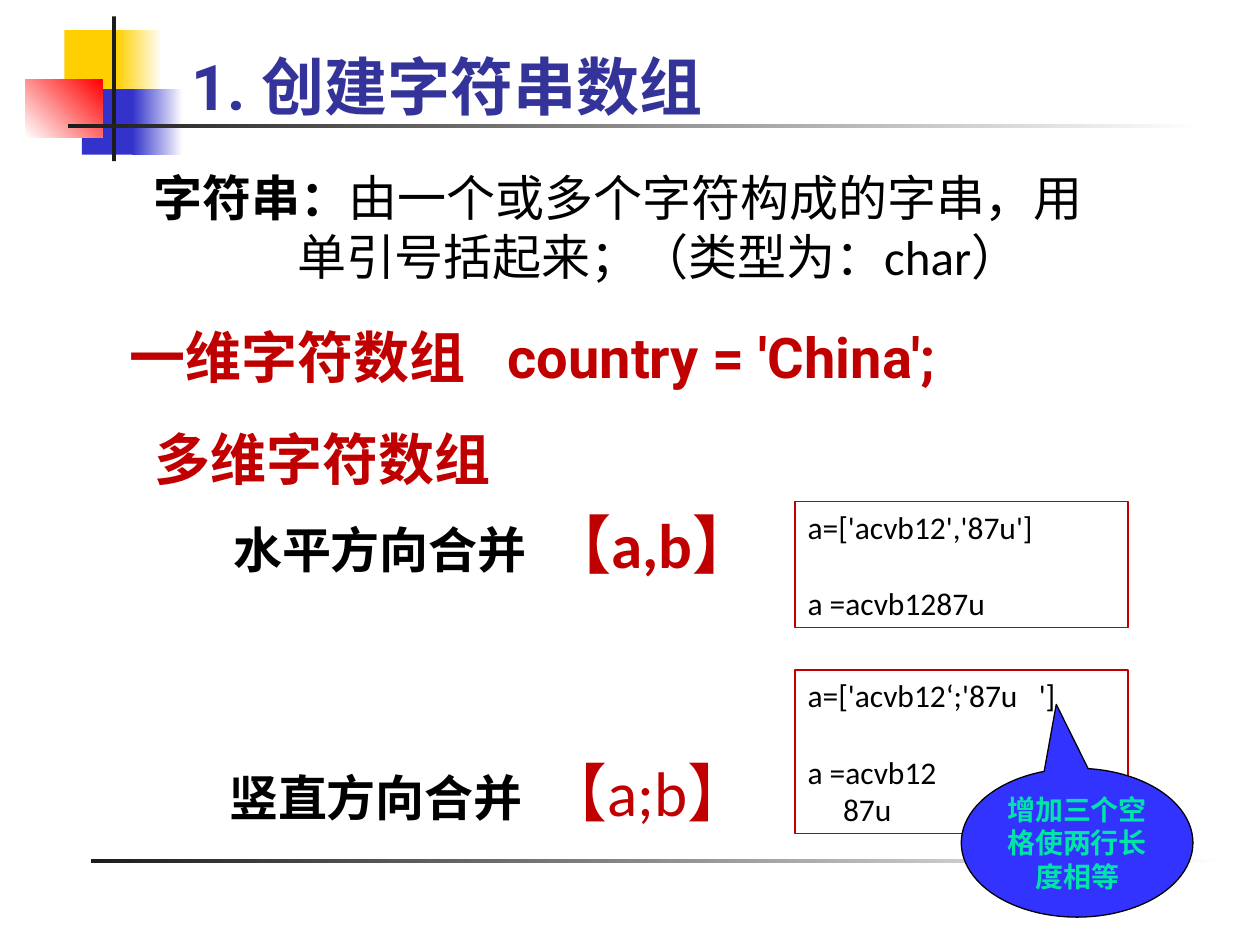
"""Build the slide on creating character arrays."""
from lxml import etree
from pptx import Presentation
from pptx import util as u
from pptx.dml.color import RGBColor
from pptx.enum import shapes, text
from pptx.oxml import ns

RED, BLACK, BLUE = "C00000", "000000", "333399"
color = RGBColor.from_string


def write_paragraph(paragraph, runs, indent=0, tab=None):
    """Write runs of (text, font, size, colour, bold) into a paragraph."""
    properties = paragraph._p.get_or_add_pPr()
    properties.set("marL", str(u.Cm(indent)))
    properties.set("indent", "0")
    if tab:
        tab_list = etree.SubElement(properties, ns.qn("a:tabLst"))
        etree.SubElement(tab_list, ns.qn("a:tab"), pos=str(u.Cm(tab)), algn="l")
    for wording, font, size, hue, bold in runs:
        run = paragraph.add_run()
        run.text = wording
        run.font.name = font
        run.font.size = u.Pt(size)
        run.font.color.rgb = color(hue)
        run.font.bold = bold


def add_box(slide, box, wrap=True):
    """Add a text box and return it."""
    shape = slide.shapes.add_textbox(*map(u.Cm, box))
    shape.text_frame.word_wrap = wrap
    return shape


presentation = Presentation()
presentation.slide_width, presentation.slide_height = u.Cm(25.4), u.Cm(19.05)
slide = presentation.slides.add_slide(presentation.slide_layouts[5])

decorations = [
    ((1.3, 0.61, 1.22, 1.32), ["FFCF01"], 0),
    ((2.36, 0.61, 0.91, 1.32), ["FFCF01", "FFFFFF"], 0),
    ((1.65, 1.8, 1.17, 1.32), ["3333CC"], 0),
    ((2.67, 1.8, 1.02, 1.32), ["3333CC", "FFFFFF"], 0),
    ((0.51, 1.6, 1.55, 1.17), ["FFFFFF", "FF0000"], 45),
    ((2.26, 0.33, 0.08, 2.92), ["1C1C1C"], 0),
    ((1.37, 2.51, 22.86, 0.08), ["1C1C1C", "FFFFFF"], 0),
    ((1.83, 17.32, 22.86, 0.08), ["1C1C1C", "FFFFFF"], 0),
]
for box, hues, angle in decorations:
    shape = slide.shapes.add_shape(shapes.MSO_SHAPE.RECTANGLE, *map(u.Cm, box))
    shape.shadow.inherit = False
    shape.line.fill.background()
    if len(hues) == 1:
        shape.fill.solid()
        shape.fill.fore_color.rgb = color(hues[0])
    else:
        shape.fill.gradient()
        shape.fill.gradient_angle = angle
        for stop, hue in zip(shape.fill.gradient_stops, hues):
            stop.color.rgb = color(hue)

title = slide.shapes.title
title.left, title.top, title.width, title.height = map(u.Cm, (3.3, 0.71, 21.59, 1.9))
title.text_frame.vertical_anchor = text.MSO_ANCHOR.BOTTOM
title.text_frame.paragraphs[0].alignment = text.PP_ALIGN.LEFT
write_paragraph(title.text_frame.paragraphs[0], [
    ("1. ", "Roboto", 36, BLUE, True),
    ("创建", "Arial", 36, BLUE, True),
    ("字符串数组", "Roboto", 36, BLUE, True),
], indent=0.3)

one_dimension = add_box(slide, (2.36, 6.38, 20.83, 2.06))
write_paragraph(one_dimension.text_frame.paragraphs[0],
                [("一维字符数组\tcountry = 'China';", "Roboto", 32, RED, True)], tab=9.12)

definition = add_box(slide, (2.84, 3.25, 19.89, 2.64))
write_paragraph(definition.text_frame.paragraphs[0], [
    ("字符串：", "Arial", 28, BLACK, True),
    ("由一个或多个字符构成的字串，用", "Calibri", 28, BLACK, False),
])
write_paragraph(definition.text_frame.add_paragraph(),
                [("单引号括起来；（类型为：char）", "Calibri", 28, BLACK, False)], indent=2.9)

many_dimensions = add_box(slide, (2.87, 8.43, 7.29, 1.63), wrap=False)
write_paragraph(many_dimensions.text_frame.paragraphs[0],
                [("多维字符数组", "Calibri", 32, RED, True)])

merges = [
    ((4.45, 10.06, 11.43, 1.78), "水平方向合并", "【a,b】", True, 6.15),
    ((4.37, 15.06, 11.63, 1.78), "竖直方向合并", "【a;b】", False, 6.38),
]
for box, direction, syntax, bold, tab in merges:
    label = add_box(slide, box, wrap=False)
    write_paragraph(label.text_frame.paragraphs[0], [
        (direction + "\t", "Calibri", 28, BLACK, True),
        (syntax, "Calibri", 36, RED, bold),
    ], tab=tab)

examples = [
    ((16.03, 10.11, 6.71, 2.54), "a=['acvb12','87u']", ["a =acvb1287u"]),
    ((16.03, 13.51, 6.71, 3.3), "a=['acvb12‘;'87u   ']", ["a =acvb12", "     87u"]),
]
for box, command, output in examples:
    example = add_box(slide, box)
    example.line.color.rgb = color(RED)
    example.line.width = u.Pt(0.75)
    frame = example.text_frame
    write_paragraph(frame.paragraphs[0], [(command, "Calibri", 18, BLACK, False)])
    for line in output:
        write_paragraph(frame.add_paragraph(), [(line, "Calibri", 18, BLACK, False)])
    frame.paragraphs[1].space_before = u.Pt(22)

callout = slide.shapes.add_shape(shapes.MSO_SHAPE.OVAL_CALLOUT,
                                 *map(u.Cm, (19.38, 15.49, 4.67, 3)))
callout.shadow.inherit = False
callout.adjustments[0], callout.adjustments[1] = -0.09, -0.93
callout.fill.solid()
callout.fill.fore_color.rgb = color("3333FF")
callout.line.color.rgb = color(BLACK)
callout.line.width = u.Pt(0.75)
frame = callout.text_frame
frame.word_wrap = True
frame.margin_left = frame.margin_right = u.Cm(0.2)
frame.margin_top = frame.margin_bottom = u.Cm(0.1)
frame.paragraphs[0].alignment = text.PP_ALIGN.CENTER
write_paragraph(frame.paragraphs[0],
                [("增加三个空格使两行长度相等", "Calibri", 16, "00E4A8", True)])

presentation.save("out.pptx")
